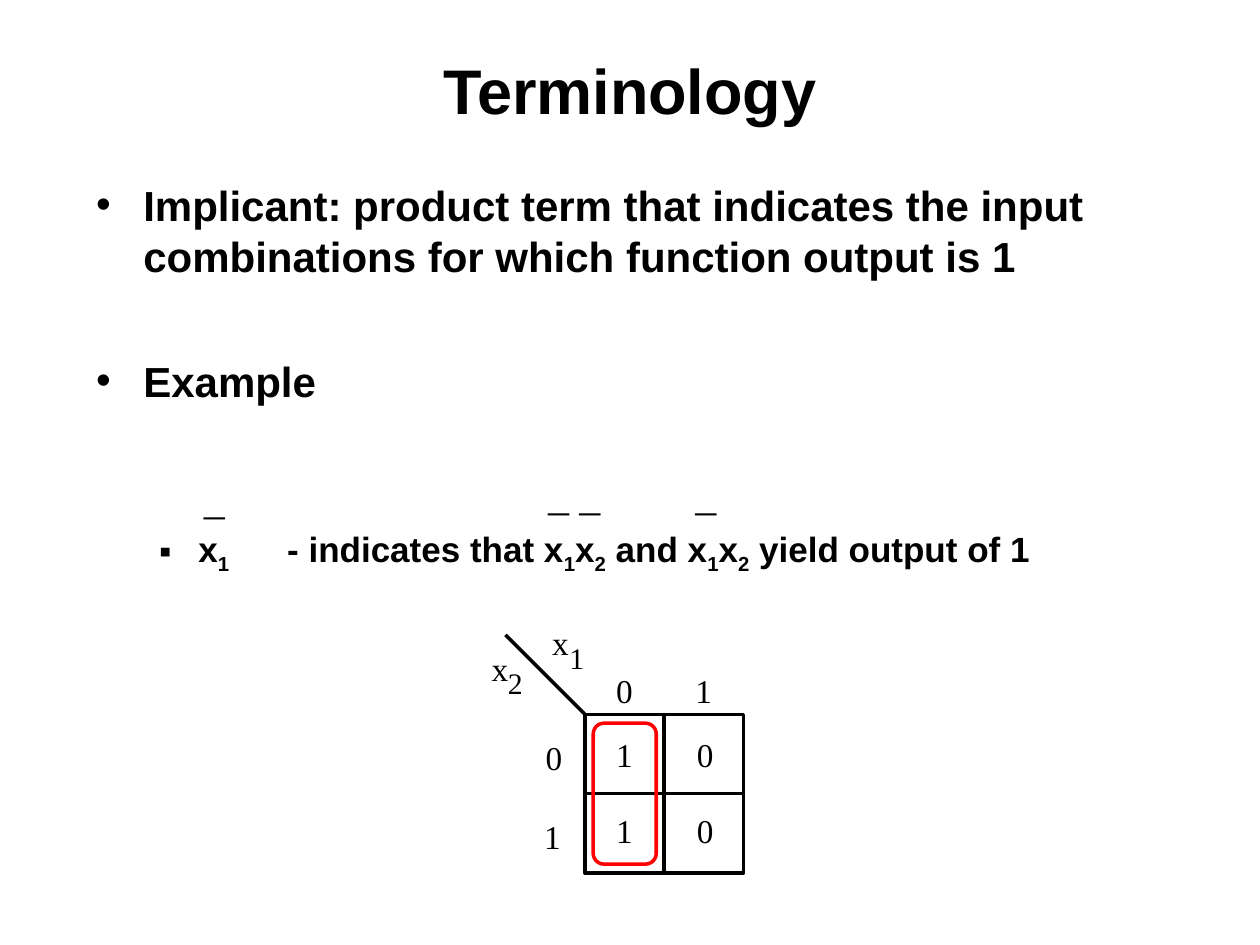
"""Build the Terminology slide: implicant definition and a two-variable Karnaugh map."""
from typing import NamedTuple

from lxml import etree
from pptx import Presentation
from pptx import util as u
from pptx.dml.color import RGBColor
from pptx.enum import shapes, text
from pptx.oxml import ns

BLACK, WHITE, RED = "000000", "FFFFFF", "FF0000"
SANS, SERIF = "Arial", "Times New Roman"
MAP_LEFT, MAP_TOP, CELL = 11.79, 14.4, 1.6


class Bullet(NamedTuple):
    pieces: tuple[str, ...]
    mark: str
    size: int
    before: float
    margin: float
    hanging: float
    level: int = 0
    tab: float = 0


class Label(NamedTuple):
    content: str
    left: float
    top: float
    size: int = 19


BULLETS = (
    Bullet(("Implicant: product term that indicates the input "
            "combinations for which function output is 1",), "•", 24, 0, 0.95, 0.95),
    Bullet(("Example",), "•", 24, 41.3, 0.95, 0.95),
    Bullet(("x", "1", "\t- indicates that x", "1", "x", "2", " and x", "1", "x", "2",
            " yield output of 1"), "▪", 20, 69, 2.06, 0.79, 1, 3.85),
)
VARIABLES = (
    Label("x", 9.91, 13.06), Label("2", 10.24, 13.41, 17),
    Label("x", 11.13, 12.55), Label("1", 11.48, 12.9, 17),
)
HEADINGS = (
    Label("0", 11, 14.86), Label("1", 10.97, 16.46),
    Label("0", 12.42, 13.51), Label("1", 14.02, 13.51),
)
CELLS = tuple(
    Label(value, 12.42 + 1.63 * column, 14.81 + 1.52 * row)
    for row, values in enumerate(("10", "10"))
    for column, value in enumerate(values)
)
OVERBARS = ((3.86, 9.4), (10.8, 9.32), (11.43, 9.32), (13.77, 9.32))


def colour(value: str) -> RGBColor:
    """Return the colour for a hex string."""
    return RGBColor.from_string(value)


def add_run(paragraph, content: str, *, size: float, font: str, bold: bool = False,
            subscript: bool = False) -> None:
    """Append one formatted run to a paragraph."""
    run = paragraph.add_run()
    run.text = content
    run.font.size, run.font.name, run.font.bold = u.Pt(size), font, bold
    run.font.color.rgb = colour(BLACK)
    if subscript:
        run.font._element.set("baseline", "-25000")


def add_frame(slide, left: float, top: float, width: float, height: float,
              inset: tuple[float, float] = (0.25, 0.13)):
    """Add a wrapping text box and return its text frame."""
    frame = slide.shapes.add_textbox(*map(u.Cm, (left, top, width, height))).text_frame
    frame.word_wrap = True
    frame.margin_left = frame.margin_right = u.Cm(inset[0])
    frame.margin_top = frame.margin_bottom = u.Cm(inset[1])
    return frame


def add_bullet(paragraph, bullet: Bullet) -> None:
    """Fill a bulleted paragraph, setting every second piece as a subscript."""
    paragraph.level = bullet.level
    paragraph.line_spacing = 1.03
    paragraph.space_before = u.Pt(bullet.before)
    properties = paragraph._p.get_or_add_pPr()
    properties.set("marL", str(u.Cm(bullet.margin)))
    properties.set("indent", str(-u.Cm(bullet.hanging)))
    etree.SubElement(properties, ns.qn("a:buFont"), typeface=SANS)
    etree.SubElement(properties, ns.qn("a:buChar"), char=bullet.mark)
    if bullet.tab:
        tabs = etree.SubElement(properties, ns.qn("a:tabLst"))
        etree.SubElement(tabs, ns.qn("a:tab"), pos=str(u.Cm(bullet.tab)), algn="l")
    for index, piece in enumerate(bullet.pieces):
        add_run(paragraph, piece, size=bullet.size, font=SANS, bold=True,
                subscript=index % 2 == 1)


def add_label(slide, label: Label) -> None:
    """Place one map label."""
    frame = add_frame(slide, label.left, label.top, 0.55, 0.81, (0, 0))
    add_run(frame.paragraphs[0], label.content, size=label.size, font=SERIF)


def add_box(slide, kind, left: float, top: float, width: float, height: float,
            line: str, fill: str | None = None):
    """Add an outlined shape and return it."""
    shape = slide.shapes.add_shape(kind, *map(u.Cm, (left, top, width, height)))
    shape.shadow.inherit = False
    if fill:
        shape.fill.solid()
        shape.fill.fore_color.rgb = colour(fill)
    else:
        shape.fill.background()
    shape.line.color.rgb, shape.line.width = colour(line), u.Pt(2)
    return shape


def add_line(slide, *ends: float) -> None:
    """Draw a straight black line from start to end."""
    line = slide.shapes.add_connector(shapes.MSO_CONNECTOR.STRAIGHT, *map(u.Cm, ends))
    line.line.color.rgb, line.line.width = colour(BLACK), u.Pt(2)
    etree.SubElement(line._element.spPr, ns.qn("a:effectLst"))


def add_map(slide) -> None:
    """Draw the Karnaugh map with its labels and the marked implicant."""
    side = 2 * CELL
    right, bottom = MAP_LEFT + side, MAP_TOP + side
    middle_x, middle_y = MAP_LEFT + CELL, MAP_TOP + CELL
    add_box(slide, shapes.MSO_SHAPE.RECTANGLE, MAP_LEFT, MAP_TOP, side, side, BLACK, WHITE)
    add_line(slide, MAP_LEFT, middle_y, right, middle_y)
    add_line(slide, middle_x, MAP_TOP, middle_x, bottom)
    add_line(slide, MAP_LEFT - CELL, MAP_TOP - CELL, MAP_LEFT, MAP_TOP)
    for label in VARIABLES + HEADINGS + CELLS:
        add_label(slide, label)
    implicant = add_box(slide, shapes.MSO_SHAPE.ROUNDED_RECTANGLE,
                        11.96, 14.58, 1.27, 2.84, RED)
    implicant.adjustments[0] = 0.17


def main() -> None:
    """Build and save the slide."""
    presentation = Presentation()
    presentation.slide_width, presentation.slide_height = u.Cm(25.4), u.Cm(19.05)
    slide = presentation.slides.add_slide(presentation.slide_layouts[6])

    title = add_frame(slide, 0, 0.85, 25.4, 1.9)
    title.vertical_anchor = text.MSO_ANCHOR.MIDDLE
    title.paragraphs[0].alignment = text.PP_ALIGN.CENTER
    add_run(title.paragraphs[0], "Terminology", size=36, font=SANS, bold=True)

    body = add_frame(slide, 1.69, 3.45, 22.01, 13.76)
    for index, bullet in enumerate(BULLETS):
        add_bullet(body.add_paragraph() if index else body.paragraphs[0], bullet)

    add_map(slide)
    for left, top in OVERBARS:
        overbar = add_frame(slide, left, top, 0.64, 1.27)
        add_run(overbar.paragraphs[0], "_", size=24, font=SERIF)
    presentation.save("out.pptx")


if __name__ == "__main__":
    main()
